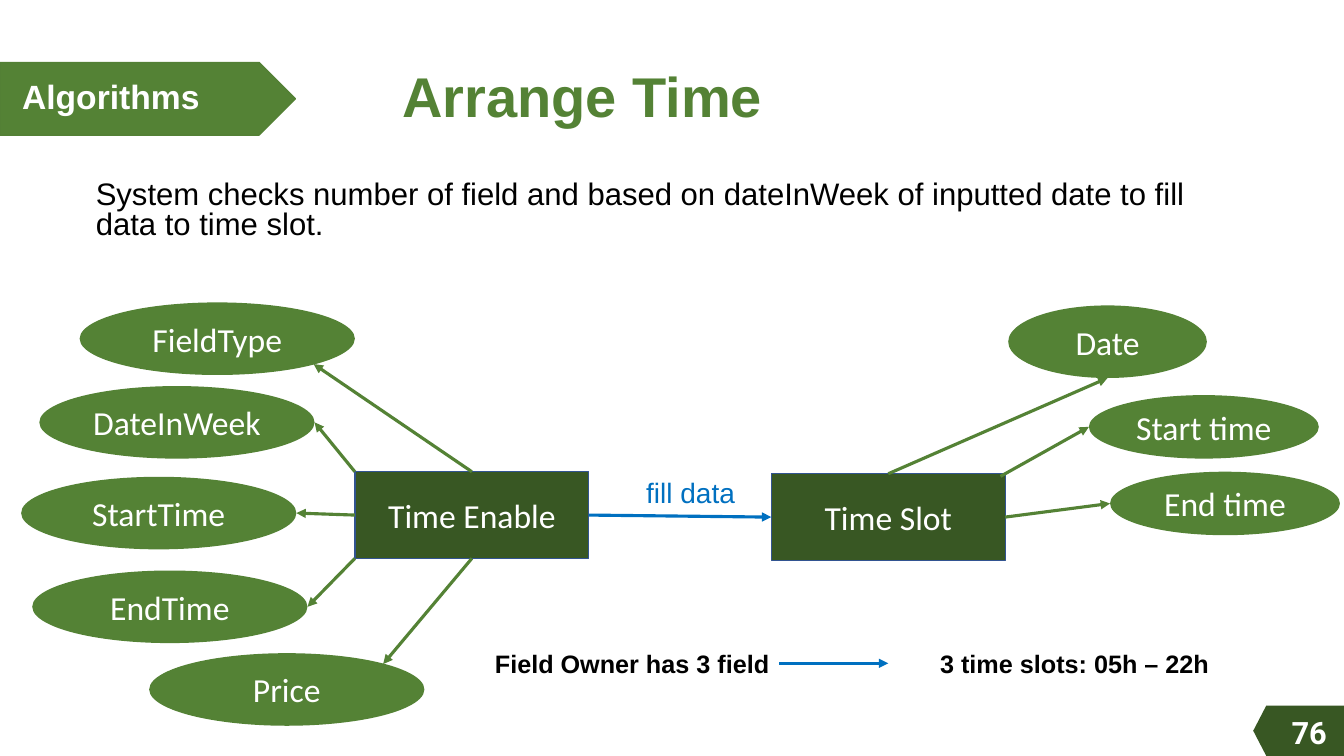
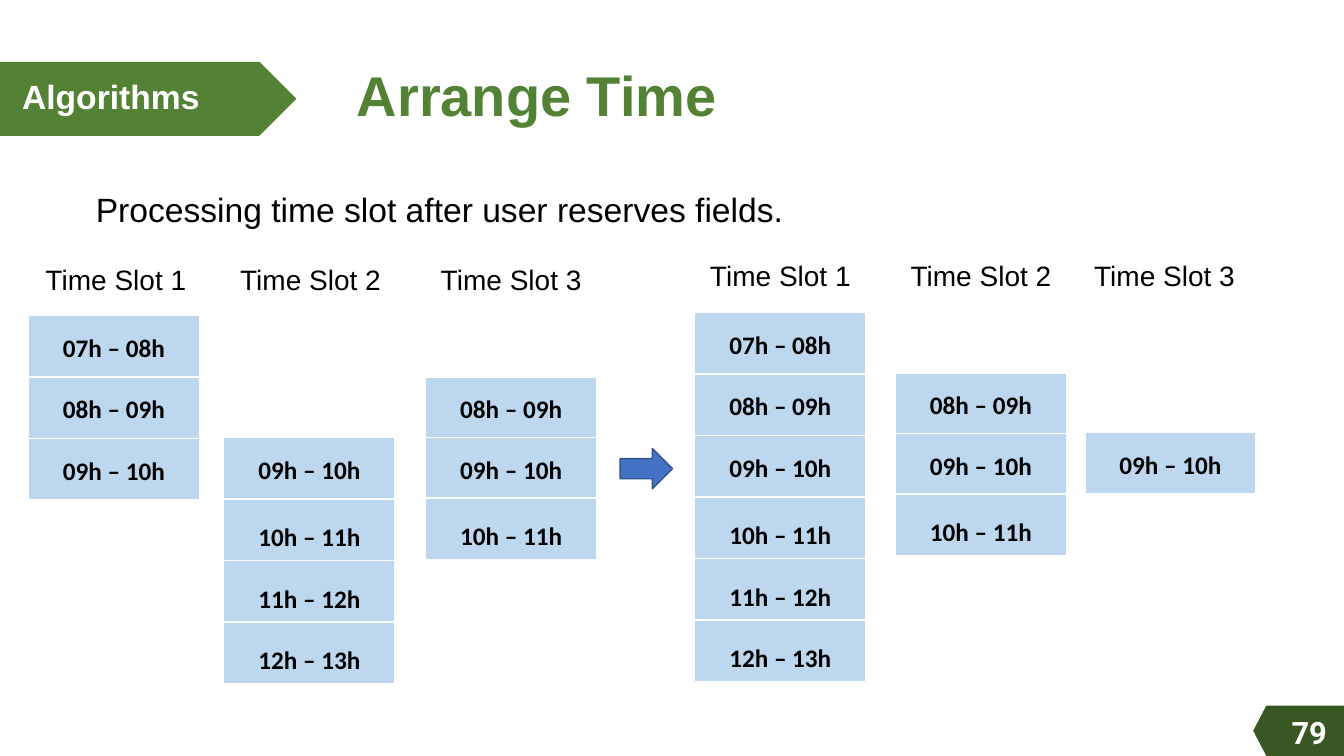
from pptx import Presentation
from pptx.dml.color import RGBColor
from pptx.enum.shapes import MSO_CONNECTOR as Connector, MSO_SHAPE as Shape
from pptx.enum.text import MSO_ANCHOR as Anchor, MSO_AUTO_SIZE as AutoSize, PP_ALIGN as Align
from pptx.oxml import parse_xml
from pptx.oxml.ns import nsdecls
from pptx.util import Inches, Pt

LEAF, LEAF_EDGE, FOREST = "548235", "538035", "385723"
BLUE, ARROW_BLUE, NAVY, SKY = "0070C0", "4472C4", "325491", "BDD7EE"
WHITE, BLACK = "FFFFFF", "000000"

TITLE = dict(size=40, color=LEAF, bold=True, spacing=0.9)
BAND = dict(size=24, color=WHITE, bold=True, spacing=0.9)
NUMBER = dict(size=22, name="Roboto", color=WHITE, bold=True, align=Align.RIGHT)
NODE = dict(size=24, name="Calibri", color=WHITE, align=Align.CENTER)
CELL = dict(size=18, name="Calibri", color=BLACK, bold=True, align=Align.CENTER)
HEADING = dict(size=20, color=BLACK, align=Align.CENTER, spacing=0.9)
NOTE = dict(size=18, color=BLACK, bold=True, align=Align.RIGHT)
FLOW_LABEL = dict(size=20, color=BLUE, align=Align.CENTER)

# Connection sites of a rectangle, keyed by fractions of width and height
SITES = {(0.5, 0): 0, (0, 0.5): 1, (0.5, 1): 2, (1, 0.5): 3}


def rgb(code):
    return RGBColor.from_string(code)


class SlideMaker:
    """Holds the deck style and the slide being filled."""

    def __init__(self):
        self.deck = Presentation()
        self.deck.slide_width, self.deck.slide_height = Inches(13.33), Inches(7.5)
        self.slide = None

    def set_text(self, shape, text, size, color, name="Arial", bold=False,
                 align=Align.LEFT, spacing=1.0, insets=None):
        frame = shape.text_frame
        margins = dict(left=0.1, top=0.05, right=0.1, bottom=0.05) | (insets or {})
        for side, length in margins.items():
            setattr(frame, f"margin_{side}", Inches(length))
        frame.word_wrap = True
        frame.auto_size = AutoSize.NONE
        frame.vertical_anchor = Anchor.MIDDLE
        para = frame.paragraphs[0]
        paragraph_format = dict(alignment=align, line_spacing=spacing, space_before=Pt(0))
        for key, value in paragraph_format.items():
            setattr(para, key, value)
        span = para.add_run()
        span.text = text
        for key, value in dict(name=name, size=Pt(size), bold=bold).items():
            setattr(span.font, key, value)
        span.font.color.rgb = rgb(color)

    def paint(self, shape, fill, line=None):
        shape.shadow.inherit = False
        shape.fill.solid()
        shape.fill.fore_color.rgb = rgb(fill)
        if line:
            shape.line.color.rgb = rgb(line)
            shape.line.width = Pt(1)
        else:
            shape.line.fill.background()

    def place(self, shape, area):
        for key, value in zip(("left", "top", "width", "height"), area):
            setattr(shape, key, Inches(value))

    def shape(self, kind, area, fill, line=None, text=None, style=None):
        box = self.slide.shapes.add_shape(kind, *map(Inches, area))
        self.paint(box, fill, line)
        if text:
            self.set_text(box, text, **style)
        return box

    def label(self, area, text, style):
        box = self.slide.shapes.add_textbox(*map(Inches, area))
        self.set_text(box, text, **style)

    def arrow(self, start, end, color):
        line = self.slide.shapes.add_connector(Connector.STRAIGHT, *start, *end)
        line.line.color.rgb = rgb(color)
        line.line.width = Pt(2.25)
        line.line._get_or_add_ln().append(
            parse_xml(f'<a:tailEnd {nsdecls("a")} type="triangle"/>'))
        line._element.spPr.append(parse_xml(f'<a:effectLst {nsdecls("a")}/>'))
        return line

    def link(self, source, start, target, end, color=LEAF):
        """Join two nodes at points given as fractions of their width and height."""
        ends = [(int(node.left + node.width * across), int(node.top + node.height * down))
                for node, (across, down) in ((source, start), (target, end))]
        line = self.arrow(*ends, color)
        for node, point, connect in ((source, start, line.begin_connect),
                                     (target, end, line.end_connect)):
            if node.auto_shape_type == Shape.RECTANGLE and point in SITES:
                connect(node, SITES[point])

    def page_number(self, number):
        outline = [(12.56, 7), (13.33, 7), (13.33, 7.5), (12.56, 7.5), (12.43, 7.25)]
        points = [(Inches(x), Inches(y)) for x, y in outline]
        builder = self.slide.shapes.build_freeform(*points[0])
        builder.add_line_segments(points[1:])
        tab = builder.convert_to_shape()
        self.paint(tab, FOREST)
        self.set_text(tab, str(number), insets=dict(top=0.03, right=0.17, bottom=0), **NUMBER)

    def new_slide(self, number, title_area, body, body_area, body_size, body_spacing):
        self.slide = self.deck.slides.add_slide(self.deck.slide_layouts[1])
        self.page_number(number)
        self.shape(Shape.PENTAGON, (0, 0.62, 2.93, 0.72), LEAF, LEAF_EDGE,
                   "Algorithms", BAND | dict(insets=dict(left=0.22)))
        title, content = self.slide.placeholders
        self.place(title, title_area)
        self.set_text(title, "Arrange Time", **TITLE)
        self.place(content, body_area)
        properties = content.text_frame.paragraphs[0]._p.get_or_add_pPr()
        properties.set("marL", "0")
        properties.set("indent", "0")
        properties.append(parse_xml(f'<a:buNone {nsdecls("a")}/>'))
        self.set_text(content, body, body_size, BLACK, spacing=body_spacing)

    def entity(self, left, top, text):
        return self.shape(Shape.RECTANGLE, (left, top, 2.32, 0.86), FOREST, NAVY, text, NODE)

    def attribute(self, area, text):
        return self.shape(Shape.OVAL, area, LEAF, text=text, style=NODE)

    def slot_column(self, left, top, pitch, first, last):
        """Stack one cell per hour, from the first to the last starting hour."""
        for row, hour in enumerate(range(first, last + 1)):
            text_top = 0.19 if hour >= 10 else 0.07
            self.shape(Shape.RECTANGLE, (left, top + row * pitch, 1.7, 0.61), SKY, WHITE,
                       f"{hour:02}h – {hour + 1:02}h", CELL | dict(insets=dict(top=text_top)))


def add_data_slide(maker):
    maker.new_slide(76, (3.89, 0.52, 7.26, 0.93),
                    "System checks number of field and based on dateInWeek of inputted date "
                    "to fill data to time slot.", (0.85, 1.74, 11.25, 0.72), 22.2, 0.8)
    enable = maker.entity(3.52, 4.68, "Time Enable")
    slot = maker.entity(7.65, 4.7, "Time Slot")
    wide, narrow = (2.73, 0.72), (2.28, 0.63)
    attributes = [
        (enable, (0.5, 0), "FieldType", (0.79, 3, *wide), (0.85, 0.85)),
        (enable, (0, 0), "DateInWeek", (0.39, 3.83, *wide), (1, 0.5)),
        (enable, (0, 0.5), "StartTime", (0.21, 4.73, *wide), (1, 0.5)),
        (enable, (0, 1), "EndTime", (0.32, 5.66, *wide), (1, 0.5)),
        (enable, (0.5, 1), "Price", (1.48, 6.48, *wide), (0.85, 0.15)),
        (slot, (0.5, 0), "Date", (10, 3.03, 1.97, 0.72), (0.5, 1)),
        (slot, (0.98, 0.03), "Start time", (10.8, 3.92, *narrow), (0, 0.5)),
        (slot, (1, 0.5), "End time", (11.01, 4.68, *narrow), (0, 0.5)),
    ]
    for entity, start, text, area, end in attributes:
        maker.link(entity, start, maker.attribute(area, text), end)
    maker.link(enable, (1, 0.5), slot, (0, 0.5), BLUE)
    maker.label((6.25, 4.66, 1.2, 0.44), "fill data", FLOW_LABEL)
    maker.label((4.59, 6.38, 3.14, 0.4), "Field Owner has 3 field", NOTE)
    maker.arrow((Inches(7.73), Inches(6.58)), (Inches(8.81), Inches(6.58)), BLUE)
    maker.label((8.9, 6.38, 3.19, 0.4), "3 time slots: 05h – 22h", NOTE)


def add_reservation_slide(maker):
    maker.new_slide(79, (3.44, 0.51, 7.26, 0.93),
                    "Processing time slot after user reserves fields.",
                    (0.85, 1.74, 7.9, 0.72), 24, 0.9)
    # Heading left, then column left, top, pitch, first and last starting hour
    before = [(0.3, (0.28, 3.13, 0.61, 7, 9)),
              (2.23, (2.22, 4.34, 0.61, 9, 12)),
              (4.22, (4.22, 3.74, 0.6, 8, 10))]
    after = [(6.89, (6.89, 3.1, 0.61, 7, 12)),
             (8.88, (8.88, 3.7, 0.6, 8, 10)),
             (10.7, (10.76, 4.29, 0.6, 9, 9))]
    for heading_top, columns in ((2.49, before), (2.45, after)):
        for number, (heading_left, column) in enumerate(columns, 1):
            maker.label((heading_left, heading_top, 1.7, 0.61), f"Time Slot {number}", HEADING)
            maker.slot_column(*column)
    maker.shape(Shape.RIGHT_ARROW, (6.15, 4.45, 0.52, 0.4), ARROW_BLUE, NAVY)


def main():
    maker = SlideMaker()
    add_data_slide(maker)
    add_reservation_slide(maker)
    maker.deck.save("out.pptx")


if __name__ == "__main__":
    main()
